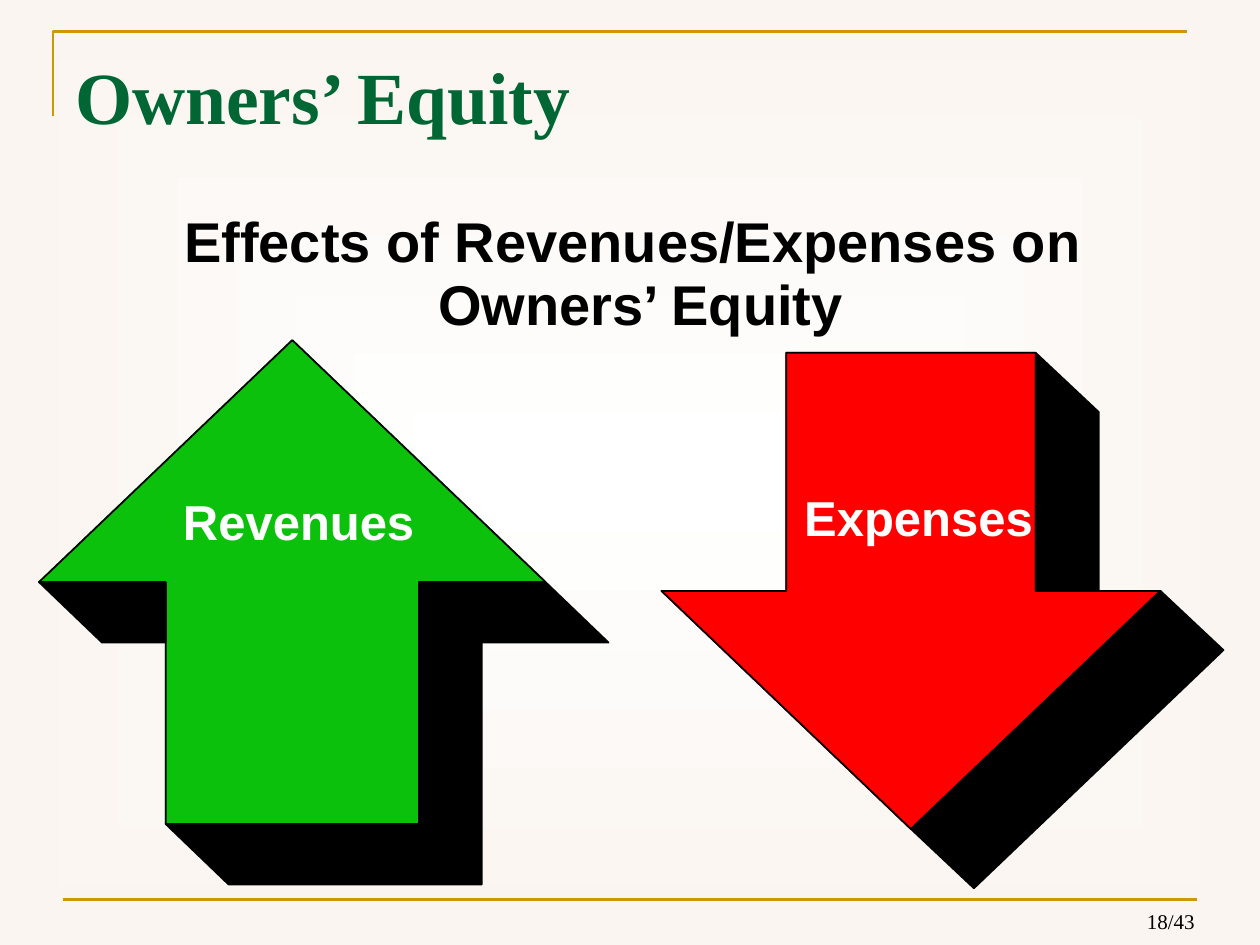
from dataclasses import dataclass

from lxml import etree
from pptx import Presentation
from pptx.dml.color import RGBColor
from pptx.enum.shapes import MSO_CONNECTOR
from pptx.enum.text import MSO_ANCHOR, PP_ALIGN
from pptx.oxml import parse_xml
from pptx.oxml.ns import nsdecls, qn
from pptx.util import Inches, Pt

COLUMNS, ROWS = 100, 75
SLIDE_WIDTH, SLIDE_HEIGHT = Inches(10), Inches(7.5)
GOLD, GREEN, RED, BLACK, WHITE = "CC9900", "0CC10C", "FF0000", "000000", "FFFFFF"

Point = tuple[float, float]


@dataclass
class BlockArrow:
    """Arrow with a black extruded side; lengths in grid columns and rows."""
    label: str
    label_at: Point
    colour: str
    left: float
    width: float
    tip: float
    wing: float
    base: float
    depth: Point

    def column(self, quarters: int) -> float:
        return self.left + self.width * quarters / 4

    def back(self, point: Point) -> Point:
        return point[0] + self.depth[0], point[1] + self.depth[1]

    def face(self) -> list[Point]:
        return [(self.column(1), self.base), (self.column(3), self.base),
                (self.column(3), self.wing), (self.column(4), self.wing),
                (self.column(2), self.tip), (self.column(0), self.wing),
                (self.column(1), self.wing)]

    def sides(self) -> list[list[Point]]:
        base_left, base_right, inner_right, right, tip, left, inner_left = self.face()
        if self.tip < self.wing:
            return [[right, *map(self.back, (right, inner_right, base_right, base_left)),
                     base_left, base_right, inner_right],
                    [left, inner_left, (inner_left[0], self.back(left)[1]), self.back(left)]]
        return [[base_right, self.back(base_right),
                 (self.back(inner_right)[0], self.wing), inner_right],
                [right, self.back(right), self.back(tip), tip]]


ARROWS = [
    BlockArrow("Revenues", (12.4, 38.1), GREEN, left=3.1, width=40.2,
               tip=27, wing=46.2, base=65.4, depth=(5, 4.8)),
    BlockArrow("Expenses", (61.6, 37.8), RED, left=52.5, width=39.6,
               tip=65.8, wing=46.9, base=28, depth=(5, 4.7)),
]


def across(columns: float) -> int:
    return round(SLIDE_WIDTH * columns / COLUMNS)


def down(rows: float) -> int:
    return round(SLIDE_HEIGHT * rows / ROWS)


def rgb(colour: str) -> RGBColor:
    return RGBColor.from_string(colour)


def paint_background(slide) -> None:
    """Gradient that runs from the slide's centre to its edges."""
    fill = slide.background.fill
    fill.gradient()
    for stop, colour, position in zip(fill.gradient_stops, (WHITE, "FAF5F0"), (0, 1)):
        stop.color.rgb = rgb(colour)
        stop.position = position
    linear = next(slide.background._cSld.iter(qn("a:lin")))
    linear.getparent().replace(linear, parse_xml(
        f'<a:path {nsdecls("a")} path="shape">'
        '<a:fillToRect l="50000" t="50000" r="50000" b="50000"/></a:path>'))


def add_outline(shapes, points: list[Point], line: str, *, fill: str | None = None,
                width: float = 1, close: bool = True) -> None:
    (x, y), *rest = [(across(column), down(row)) for column, row in points]
    builder = shapes.build_freeform(x, y)
    builder.add_line_segments(rest, close=close)
    outline = builder.convert_to_shape()
    outline.shadow.inherit = False
    outline.line.color.rgb = rgb(line)
    outline.line.width = Pt(width)
    if fill:
        outline.fill.solid()
        outline.fill.fore_color.rgb = rgb(fill)
    else:
        outline.fill.background()


def add_rule(shapes, start: Point, end: Point) -> None:
    rule = shapes.add_connector(MSO_CONNECTOR.STRAIGHT, across(start[0]), down(start[1]),
                                across(end[0]), down(end[1]))
    rule.line.color.rgb = rgb(GOLD)
    rule.line.width = Pt(1.5)
    etree.SubElement(rule._element.spPr, qn("a:effectLst"))


def add_text(shapes, lines: list[str], at: Point, size: Point, *, points: float,
             font: str = "Arial", colour: str = BLACK, bold: bool = True,
             align=PP_ALIGN.CENTER, anchor=MSO_ANCHOR.TOP, inset_top: float = 0.5,
             spacing: float = 1, gap: float = 0) -> None:
    box = shapes.add_textbox(across(at[0]), down(at[1]), across(size[0]), down(size[1]))
    frame = box.text_frame
    frame.word_wrap = True
    frame.vertical_anchor = anchor
    frame.margin_top = down(inset_top)
    for number, line in enumerate(lines):
        paragraph = frame.add_paragraph() if number else frame.paragraphs[0]
        paragraph.alignment = align
        paragraph.line_spacing = spacing
        paragraph.space_before = Pt(gap if number else 0)
        run = paragraph.add_run()
        run.text = line
        run.font.name = font
        run.font.size = Pt(points)
        run.font.bold = bold
        run.font.color.rgb = rgb(colour)


def add_arrow(slide, arrow: BlockArrow) -> None:
    parts = slide.shapes.add_group_shape().shapes
    add_outline(parts, arrow.face(), arrow.colour, fill=arrow.colour)
    for side in arrow.sides():
        add_outline(parts, side, BLACK, fill=BLACK)
    add_outline(parts, arrow.face(), BLACK)
    add_text(parts, [arrow.label], arrow.label_at, (22.6, 5.6), points=28,
             colour=WHITE, inset_top=0.9)


def main() -> None:
    deck = Presentation()
    deck.slide_width, deck.slide_height = SLIDE_WIDTH, SLIDE_HEIGHT
    slide = deck.slides.add_slide(deck.slide_layouts[6])
    paint_background(slide)
    add_outline(slide.shapes, [(4.2, 9.2), (4.2, 2.5), (94.2, 2.5)], GOLD,
                width=1.5, close=False)
    add_rule(slide.shapes, (5, 71.4), (95, 71.4))
    add_text(slide.shapes, ["18/43"], (81.5, 72.2), (14.3, 2.4), points=12,
             font="Times New Roman", bold=False, align=PP_ALIGN.RIGHT,
             anchor=MSO_ANCHOR.BOTTOM)
    add_text(slide.shapes, ["Owners’ Equity"], (5, 3), (90, 8.5), points=42,
             font="Times New Roman", colour="006633", align=PP_ALIGN.LEFT,
             anchor=MSO_ANCHOR.BOTTOM)
    add_text(slide.shapes, ["Effects of Revenues/Expenses on ", "Owners’ Equity"],
             (6.7, 17.5), (88.3, 9), points=32, inset_top=1.2, spacing=0.5, gap=17)
    for arrow in ARROWS:
        add_arrow(slide, arrow)
    deck.save("out.pptx")


if __name__ == "__main__":
    main()
